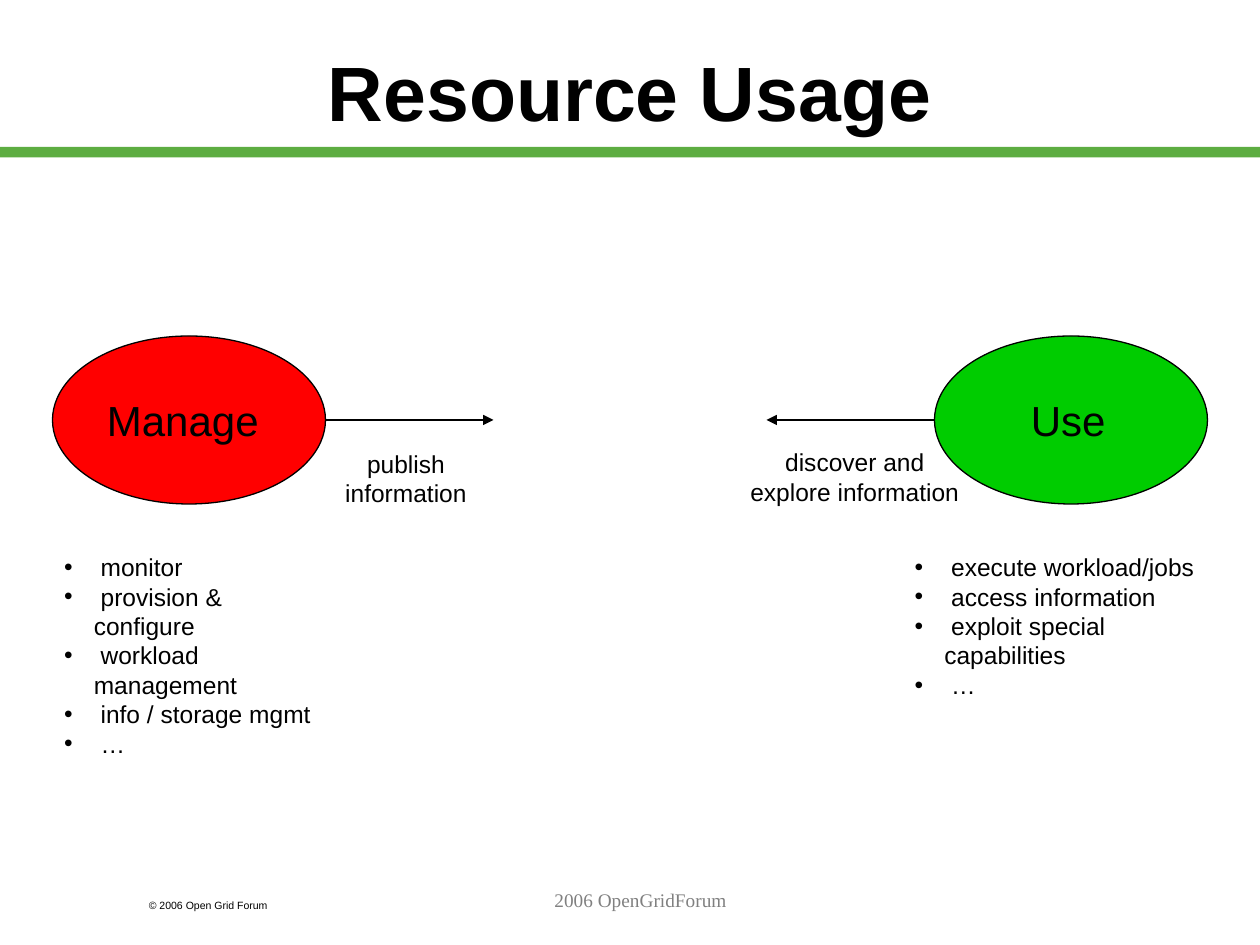
"""Build the Resource Usage slide: managers publish and users discover information."""
from lxml.etree import SubElement
from pptx import Presentation
from pptx.dml.color import RGBColor
from pptx.enum.shapes import MSO_CONNECTOR as Connector, MSO_SHAPE as Shape
from pptx.enum.text import MSO_ANCHOR as Anchor, PP_ALIGN as Align
from pptx.oxml.ns import qn
from pptx.util import Pt

BLACK, GREY, GREEN = "000000", "808080", "5DAD41"
SANS, SERIF = "Arial", "Times New Roman"
OVAL_TOP, OVAL_WIDTH, OVAL_HEIGHT = 192, 156, 96
ARROW_LENGTH = 96
BULLET_INDENT = 17

ROLES = [
    {
        "name": "Manage", "name_at": (54, 222, 108, 36), "fill": "FF0000",
        "oval_left": 30, "direction": 1,
        "action": ["publish", "information"], "action_at": (182, 253, 100, 41),
        "tasks": [" monitor", " provision & configure", " workload management",
                  " info / storage mgmt", " …"],
        "tasks_at": (29.5, 312, 165, 91.5),
    },
    {
        "name": "Use", "name_at": (582, 222, 64, 36), "fill": "00CC00",
        "oval_left": 534, "direction": -1,
        "action": ["discover and", "explore information"], "action_at": (418, 252, 141, 41),
        "tasks": [" execute workload/jobs", " access information",
                  " exploit special capabilities", " …"],
        "tasks_at": (515.5, 312, 184.5, 75),
    },
]


def color(value):
    return RGBColor.from_string(value)


def add_bullet(para):
    props = para._p.get_or_add_pPr()
    props.set("marL", str(Pt(BULLET_INDENT)))
    props.set("indent", str(-Pt(BULLET_INDENT)))
    SubElement(SubElement(props, qn("a:buClr")), qn("a:srgbClr")).set("val", BLACK)
    SubElement(props, qn("a:buFont")).set("typeface", SANS)
    SubElement(props, qn("a:buChar")).set("char", "•")


def add_text(page, at, lines, size, font=SANS, ink=BLACK, align=Align.LEFT, bold=False,
             bullets=False, spacing=None, anchor=Anchor.TOP):
    frame = page.shapes.add_textbox(*map(Pt, at)).text_frame
    frame.word_wrap = True
    frame.vertical_anchor = anchor
    for index, line in enumerate(lines):
        para = frame.add_paragraph() if index else frame.paragraphs[0]
        if bullets:
            add_bullet(para)
        para.alignment = align
        para.line_spacing = spacing
        span = para.add_run()
        span.text = line
        span.font.name, span.font.size, span.font.bold = font, Pt(size), bold
        span.font.color.rgb = color(ink)


def add_solid(page, kind, at, fill, outline=None):
    solid = page.shapes.add_shape(kind, *map(Pt, at))
    solid.shadow.inherit = False
    solid.fill.solid()
    solid.fill.fore_color.rgb = color(fill)
    if outline:
        solid.line.color.rgb = color(outline)
        solid.line.width = Pt(0.75)
    else:
        solid.line.fill.background()


def add_arrow(page, start, end, y):
    arrow = page.shapes.add_connector(Connector.STRAIGHT, Pt(start), Pt(y), Pt(end), Pt(y))
    arrow.line.color.rgb = color(BLACK)
    arrow.line.width = Pt(1)
    SubElement(arrow.line._get_or_add_ln(), qn("a:tailEnd")).set("type", "triangle")
    SubElement(arrow._element.spPr, qn("a:effectLst"))


def add_role(page, role):
    left, direction = role["oval_left"], role["direction"]
    add_solid(page, Shape.OVAL, (left, OVAL_TOP, OVAL_WIDTH, OVAL_HEIGHT), role["fill"], BLACK)
    start = left + OVAL_WIDTH if direction > 0 else left
    add_arrow(page, start, start + direction * ARROW_LENGTH, OVAL_TOP + OVAL_HEIGHT / 2)
    add_text(page, role["name_at"], [role["name"]], 24)
    add_text(page, role["action_at"], role["action"], 14, align=Align.CENTER)
    add_text(page, role["tasks_at"], role["tasks"], 14, bullets=True)


def main():
    deck = Presentation()
    deck.slide_width, deck.slide_height = Pt(720), Pt(540)
    page = deck.slides.add_slide(deck.slide_layouts[6])
    add_solid(page, Shape.RECTANGLE, (0, 84, 720, 6), GREEN)
    add_text(page, (54, 12, 612, 90), ["Resource Usage"], 44, align=Align.CENTER,
             bold=True, spacing=0.8, anchor=Anchor.MIDDLE)
    for role in ROLES:
        add_role(page, role)
    add_text(page, (78, 510, 108, 14.5), ["© 2006 Open Grid Forum"], 6)
    add_text(page, (156, 504, 420, 36), ["2006 OpenGridForum"], 11, SERIF, GREY, Align.CENTER)
    deck.save("out.pptx")


if __name__ == "__main__":
    main()
